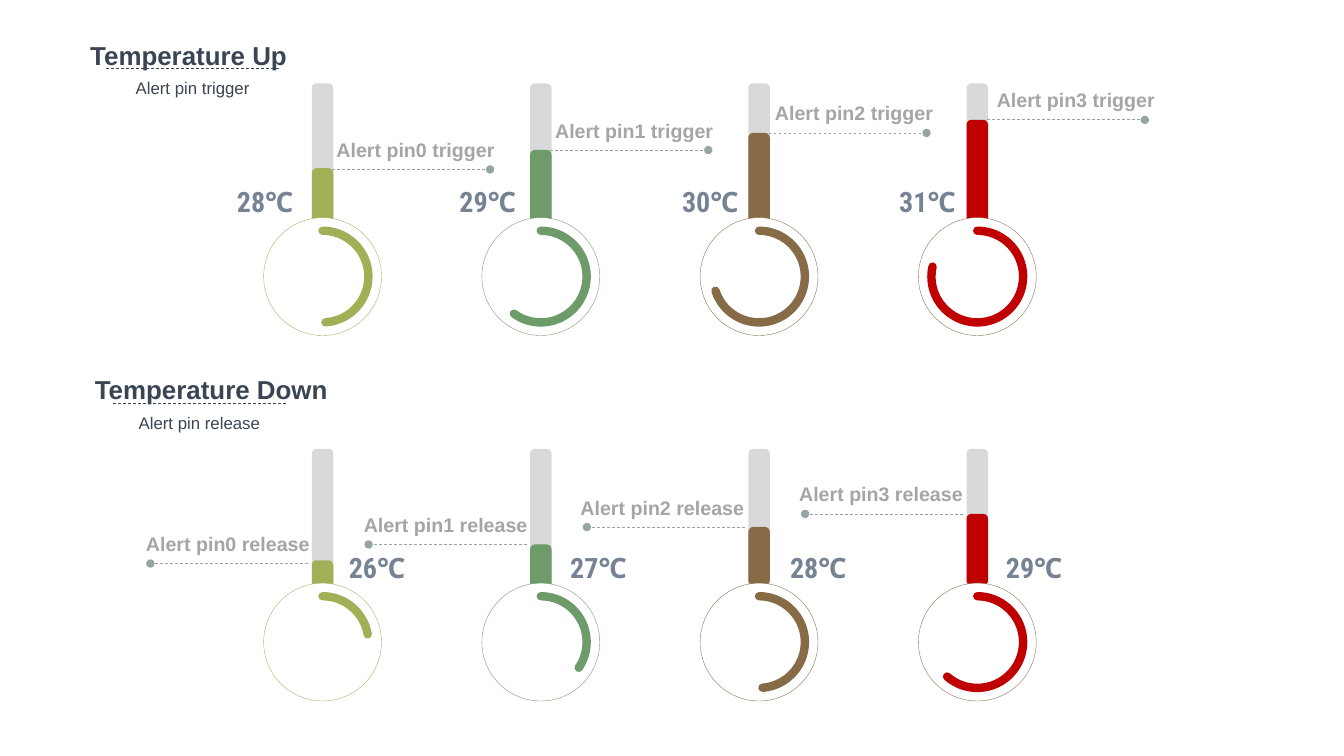
from dataclasses import dataclass

from lxml import etree
from pptx import Presentation
from pptx.dml.color import RGBColor
from pptx.enum.dml import MSO_LINE
from pptx.enum.shapes import MSO_CONNECTOR, MSO_SHAPE
from pptx.enum.text import MSO_ANCHOR, MSO_AUTO_SIZE, PP_ALIGN
from pptx.oxml.ns import qn
from pptx.util import Cm, Pt

ROUND, OVAL, ARC = MSO_SHAPE.ROUNDED_RECTANGLE, MSO_SHAPE.OVAL, MSO_SHAPE.ARC
LEFT, CENTER = PP_ALIGN.LEFT, PP_ALIGN.CENTER
TOP, MIDDLE = MSO_ANCHOR.TOP, MSO_ANCHOR.MIDDLE
COLORS = {
    "ink": "3A4554", "label": "A5A5A5", "degree": "768395", "leader": "95A5A6",
    "tube": "D9D9D9", "white": "FFFFFF",
    "olive": "9FB057", "green": "6D9B6A", "brown": "866B46", "red": "C00000",
}
# All lengths below are in centimetres.
CENTER_X, STEP = 8.13, 5.5
TUBE_W, TUBE_H = 0.54, 4.22
BULB, DIAL, BULB_DROP = 2.97, 2.31, 4.87
LEAD, LABEL_W, LABEL_H = 3.98, 4.37, 0.66
TITLE_W, TITLE_H = 6.5, 0.94


@dataclass
class Gauge:
    degree: str
    color: str
    rim: str
    level: float     # top of the coloured column
    height: float
    angle: float     # end of the dial, clockwise from three o'clock
    lead_y: float
    label_x: float
    degree_x: float


@dataclass
class Row:
    title: str
    title_x: float
    note: str
    note_x: float
    rule_y: float
    top: float
    verb: str
    lead_dx: float   # leader start from the tube's centre
    lead: float      # signed leader length
    gauges: list[Gauge]


ROWS = [
    Row("Temperature Up", 1.5, "Alert pin trigger", 2.67, 1.73, 2.1,
        "trigger", 0.24, LEAD, [
            Gauge("28", "olive", "olive", 4.24, 2.08, 86.4, 4.27, 8.23, 5.87),
            Gauge("29", "green", "green", 3.78, 2.54, 126, 3.78, 13.74, 11.48),
            Gauge("30", "brown", "brown", 3.35, 2.95, 162, 3.35, 19.28, 17.09),
            Gauge("31", "red", "brown", 3.02, 2.95, 192.6, 3.02, 24.87, 22.56),
        ]),
    Row("Temperature Down", 2.07, "Alert pin release", 2.84, 10.16, 11.31,
        "release", -0.36, -LEAD, [
            Gauge("26", "olive", "olive", 14.12, 2.08, 350.3, 14.2, 3.43, 8.69),
            Gauge("27", "green", "green", 13.72, 2.54, 34.1, 13.72, 8.92, 14.27),
            Gauge("28", "brown", "brown", 13.28, 1.47, 85.7, 13.28, 14.38, 19.81),
            Gauge("29", "red", "brown", 12.95, 1.8, 131.2, 12.95, 19.89, 25.25),
        ]),
]


def rgb(name: str) -> RGBColor:
    return RGBColor.from_string(COLORS[name])


def write(box, text: str, *, size: float, color: str, bold: bool = True,
          font: str = "Arial", unit: str = "", align=CENTER, anchor=TOP) -> None:
    """Fill a box with one unwrapped line; the unit follows in Calibri."""
    frame = box.text_frame
    frame.word_wrap = False
    frame.auto_size = MSO_AUTO_SIZE.NONE
    frame.vertical_anchor = anchor
    para = frame.paragraphs[0]
    para.alignment = align
    for part, face in ((text, font), (unit, "Calibri")):
        if part:
            run = para.add_run()
            run.text = part
            run.font.name, run.font.size, run.font.bold = face, Pt(size), bold
            run.font.color.rgb = rgb(color)


def place(box, x: float, y: float, w: float, h: float) -> None:
    box.left, box.top, box.width, box.height = Cm(x), Cm(y), Cm(w), Cm(h)


def add_box(slide, x: float, y: float, w: float, h: float):
    return slide.shapes.add_textbox(Cm(x), Cm(y), Cm(w), Cm(h))


def add_shape(slide, kind, x: float, y: float, w: float, h: float, *,
              fill: str = "", line: str = "", width: float = 0):
    shape = slide.shapes.add_shape(kind, Cm(x), Cm(y), Cm(w), Cm(h))
    shape.shadow.inherit = False
    if fill:
        shape.fill.solid()
        shape.fill.fore_color.rgb = rgb(fill)
    else:
        shape.fill.background()
    if line:
        shape.line.color.rgb = rgb(line)
        shape.line.width = Pt(width)
    else:
        shape.line.fill.background()
    return shape


def add_dash(slide, x: float, y: float, length: float, color: str,
             dot: bool = False) -> None:
    line = slide.shapes.add_connector(
        MSO_CONNECTOR.STRAIGHT, Cm(x), Cm(y), Cm(x + length), Cm(y))
    line.line.color.rgb = rgb(color)
    line.line.width = Pt(0.5)
    line.line.dash_style = MSO_LINE.DASH
    props = line._element.spPr
    if dot:
        etree.SubElement(props.find(qn("a:ln")), qn("a:tailEnd"), type="oval")
    etree.SubElement(props, qn("a:effectLst"))


def add_tube(slide, mid: float, y: float, h: float, color: str) -> None:
    tube = add_shape(slide, ROUND, mid - TUBE_W / 2, y, TUBE_W, h, fill=color)
    tube.adjustments[0] = 0.22


def add_gauge(slide, row: Row, index: int, gauge: Gauge) -> None:
    mid, hub = CENTER_X + index * STEP, row.top + BULB_DROP
    add_tube(slide, mid, row.top, TUBE_H, "tube")
    add_tube(slide, mid, gauge.level, gauge.height, gauge.color)
    add_shape(slide, OVAL, mid - BULB / 2, hub - BULB / 2, BULB, BULB,
              fill="white", line=gauge.rim, width=0.25)
    dial = add_shape(slide, ARC, mid - DIAL / 2, hub - DIAL / 2, DIAL, DIAL,
                     line=gauge.color, width=6)
    # Arc angles count in 60000ths of a degree, adjustments in 100000ths.
    dial.adjustments[0] = 270 * 0.6
    dial.adjustments[1] = gauge.angle * 0.6
    dial._element.spPr.find(qn("a:ln")).set("cap", "rnd")

    add_dash(slide, mid + row.lead_dx, gauge.lead_y, row.lead, "leader", dot=True)
    write(add_box(slide, gauge.label_x, gauge.lead_y - 0.92, LABEL_W, LABEL_H),
          f"Alert pin{index} {row.verb}", size=14, color="label", align=LEFT)
    write(add_box(slide, gauge.degree_x, row.top + 2.53, 1.63, 0.91),
          gauge.degree, unit="℃", size=20, color="degree",
          font="Roboto Condensed", anchor=MIDDLE)


def add_head(slide, row: Row, box) -> None:
    add_dash(slide, row.note_x, row.rule_y, LABEL_W, "ink")
    write(add_box(slide, row.note_x, row.rule_y + 0.11, LABEL_W, LABEL_H),
          row.note, size=12, color="ink", bold=False)
    place(box, row.title_x, row.rule_y - 0.82, TITLE_W, TITLE_H)
    write(box, row.title, size=18.5, color="ink", anchor=MIDDLE)


def main() -> None:
    deck = Presentation()
    deck.slide_width, deck.slide_height = Cm(33.87), Cm(19.05)
    slide = deck.slides.add_slide(deck.slide_layouts[5])
    for row in ROWS:
        first = row is ROWS[0]
        add_head(slide, row, slide.shapes.title if first else add_box(slide, 0, 0, 1, 1))
        for index, gauge in enumerate(row.gauges):
            add_gauge(slide, row, index, gauge)
    deck.save("out.pptx")


if __name__ == "__main__":
    main()
